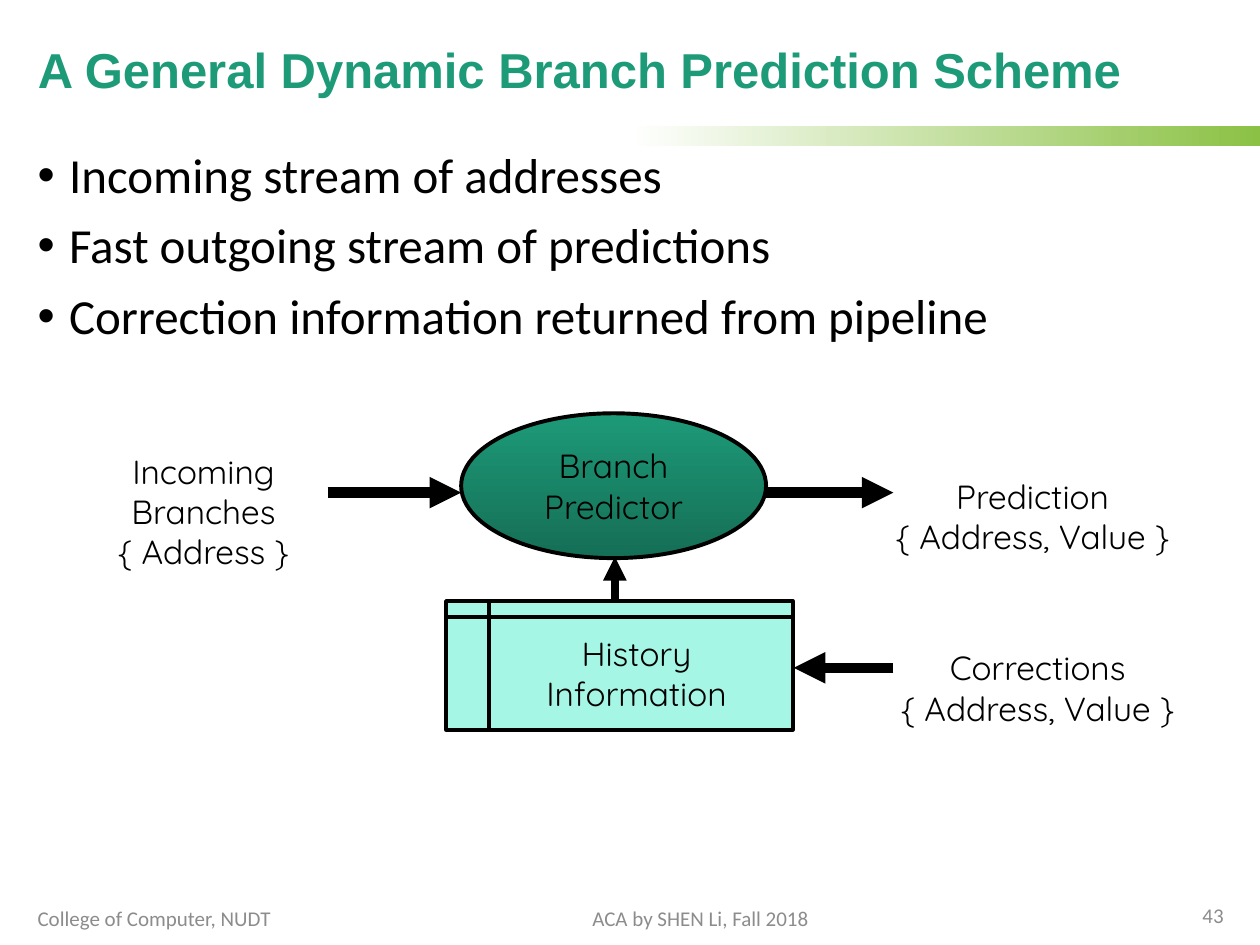
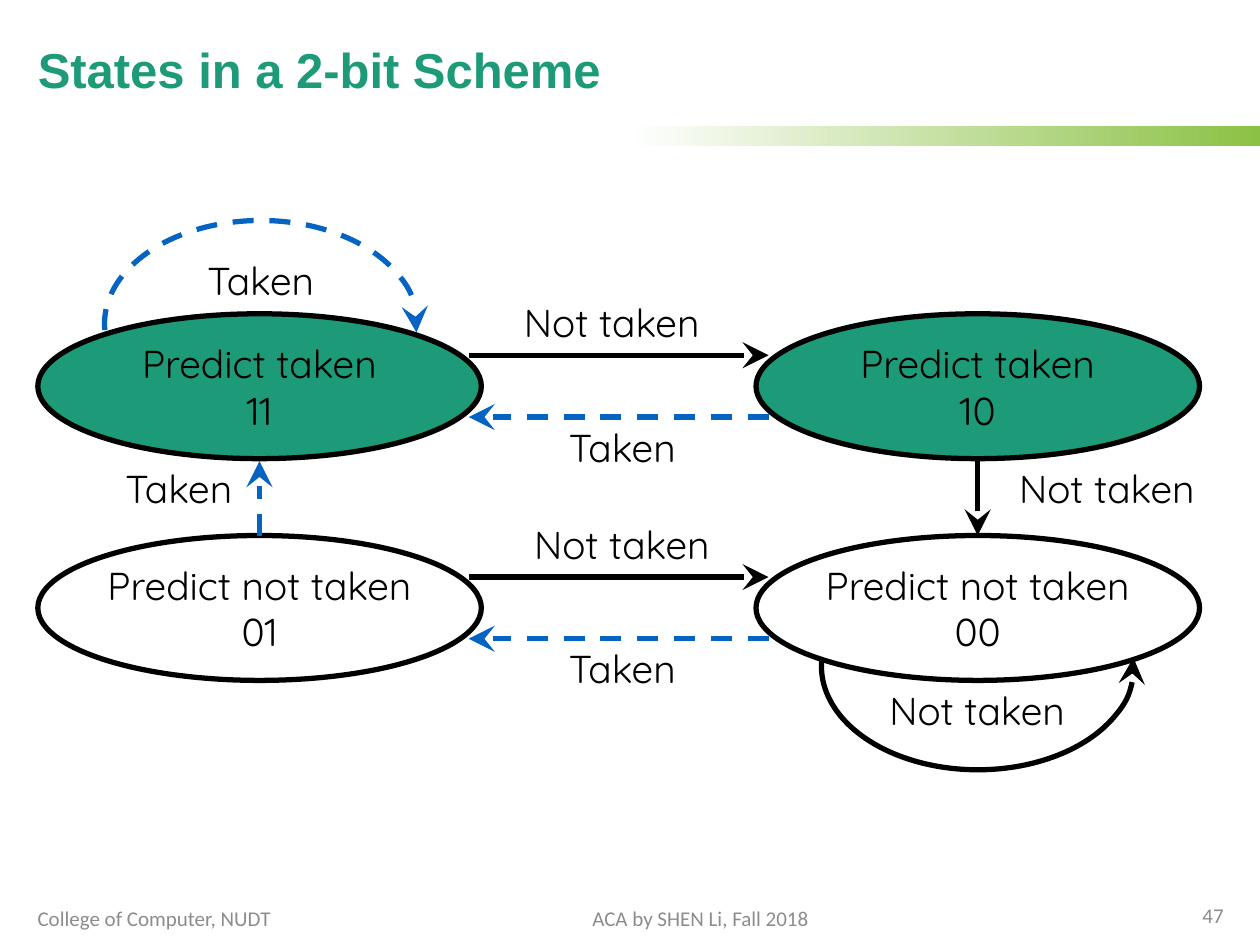
from lxml import etree
from pptx import Presentation, util as u
from pptx.dml.color import RGBColor
from pptx.enum import dml, shapes, text
from pptx.oxml.ns import qn

PX = 9144
BLACK = RGBColor(0x00, 0x00, 0x00)
WHITE = RGBColor(0xFF, 0xFF, 0xFF)
GREEN = RGBColor(0x1D, 0x9A, 0x78)
DARK_GREEN = RGBColor(0x15, 0x6E, 0x56)
LIME = RGBColor(0x8B, 0xC1, 0x45)
MINT = RGBColor(0xA6, 0xF6, 0xE5)
BLUE = RGBColor(0x05, 0x63, 0xC1)
GRAY = RGBColor(0x8C, 0x8C, 0x8C)
LEFT, CENTER, RIGHT = text.PP_ALIGN.LEFT, text.PP_ALIGN.CENTER, text.PP_ALIGN.RIGHT
MIDDLE = text.MSO_ANCHOR.MIDDLE
SHAPE = shapes.MSO_SHAPE


class Deck:
    """Hold the lecture style and the current slide, and draw elements on it."""

    def __init__(self):
        self.presentation = Presentation()
        self.presentation.slide_width = 1000 * PX
        self.presentation.slide_height = 750 * PX
        self.slide = None
        self.label_size = 20

    def scale(self, *lengths):
        return [length * PX for length in lengths]

    def new_slide(self, title, number, label_size):
        self.label_size = label_size
        layout = self.presentation.slide_layouts[5]
        self.slide = self.presentation.slides.add_slide(layout)
        self.shape(SHAPE.RECTANGLE, (500, 100, 500, 16), (WHITE, LIME), angle=0)
        heading = self.slide.shapes.title
        heading.left, heading.top, heading.width, heading.height = self.scale(20, 15, 961, 85)
        self.set_text(heading, title, 28, "Arial", GREEN, LEFT, bold=True)
        heading.text_frame.paragraphs[0].line_spacing = 0.9
        for words, box, align in (
            ("College of Computer, NUDT", (20, 709, 225, 40), LEFT),
            ("ACA by SHEN Li, Fall 2018", (328, 709, 456, 40), CENTER),
            (number, (879, 706, 102, 40), RIGHT),
        ):
            footer = self.slide.shapes.add_textbox(*self.scale(*box))
            self.set_text(footer, words, 12, "Calibri", GRAY, align)

    def set_text(self, shape, words, size, font, color, align, anchor=MIDDLE, wrap=True,
                 bold=False):
        frame = shape.text_frame
        frame.text = words
        frame.word_wrap = wrap
        frame.vertical_anchor = anchor
        for paragraph in frame.paragraphs:
            paragraph.alignment = align
            for run in paragraph.runs:
                run.font.size = u.Pt(size)
                run.font.name = font
                run.font.bold = bold
                run.font.color.rgb = color

    def bullets(self, box, lines):
        body = self.slide.shapes.add_textbox(*self.scale(*box))
        self.set_text(body, "\n".join(lines), 28, "Calibri", BLACK, LEFT, text.MSO_ANCHOR.TOP)
        for index, paragraph in enumerate(body.text_frame.paragraphs):
            paragraph.line_spacing = 0.9
            paragraph.space_before = u.Pt(10 if index else 0)
            properties = paragraph._p.get_or_add_pPr()
            properties.set("marL", str(25 * PX))
            properties.set("indent", str(-25 * PX))
            etree.SubElement(properties, qn("a:buFont"), typeface="Arial")
            etree.SubElement(properties, qn("a:buChar"), char="•")

    def label(self, words, box, wrap=False):
        caption = self.slide.shapes.add_textbox(*self.scale(*box))
        self.set_text(caption, words, self.label_size, "Quicksand", BLACK, CENTER,
                      text.MSO_ANCHOR.TOP, wrap)
        caption.text_frame.auto_size = text.MSO_AUTO_SIZE.SHAPE_TO_FIT_TEXT

    def shape(self, kind, box, fill=None, line=0, words="", angle=270, wrap=False):
        shape = self.slide.shapes.add_shape(kind, *self.scale(*box))
        shape.shadow.inherit = False
        if fill is None:
            shape.fill.background()
        elif isinstance(fill, RGBColor):
            shape.fill.solid()
            shape.fill.fore_color.rgb = fill
        else:
            shape.fill.gradient()
            shape.fill.gradient_angle = angle
            for stop, color in zip(shape.fill.gradient_stops, fill):
                stop.color.rgb = color
        if line:
            self.stroke(shape, BLACK, line)
        else:
            shape.line.fill.background()
        if words:
            self.set_text(shape, words, self.label_size, "Quicksand", BLACK, CENTER, wrap=wrap)
        return shape

    def stroke(self, shape, color, width, dashed=False):
        shape.line.color.rgb = color
        shape.line.width = u.Pt(width)
        if dashed:
            shape.line.dash_style = dml.MSO_LINE.DASH

    def arrowhead(self, shape, end, head, size):
        outline = shape.element.spPr.find(qn("a:ln"))
        etree.SubElement(outline, qn(f"a:{end}"), type=head, w=size, len=size)

    def arrow(self, points, width, color=BLACK, head="triangle", size="med"):
        connector = self.slide.shapes.add_connector(
            shapes.MSO_CONNECTOR.STRAIGHT, *self.scale(*points))
        self.stroke(connector, color, width, color == BLUE)
        self.arrowhead(connector, "tailEnd", head, size)
        etree.SubElement(connector.element.spPr, qn("a:effectLst"))

    def transition(self, points, color=BLACK):
        self.arrow(points, 3, color, "stealth", "lg")

    def self_loop(self, box, start, stop, end, color=BLACK):
        arc = self.shape(SHAPE.ARC, box)
        arc.adjustments[0] = start * 0.6
        arc.adjustments[1] = stop * 0.6
        self.stroke(arc, color, 3, color == BLUE)
        self.arrowhead(arc, end, "stealth", "lg")


def draw_prediction_scheme(deck):
    deck.new_slide("A General Dynamic Branch Prediction Scheme", "43", 19.1)
    deck.bullets((20, 115, 961, 595), (
        "Incoming stream of addresses",
        "Fast outgoing stream of predictions",
        "Correction information returned from pipeline",
    ))
    deck.shape(SHAPE.OVAL, (366, 328, 242, 115), (GREEN, DARK_GREEN), 2.25, "Branch\nPredictor")
    deck.label("Incoming Branches\n{ Address }", (53, 353, 217, 106), wrap=True)
    deck.label("Prediction\n{ Address, Value }", (696, 373, 247, 74))
    deck.label("Corrections\n{ Address, Value }", (700, 509, 247, 74))
    deck.shape(SHAPE.FLOWCHART_INTERNAL_STORAGE, (354, 477, 275, 102), MINT, 2.25,
               "History \nInformation ", wrap=True)
    for points in ((260, 391, 366, 391), (608, 391, 709, 391), (709, 530, 630, 530)):
        deck.arrow(points, 6)
    deck.arrow((488, 477, 488, 442), 4.5)


def draw_two_bit_states(deck):
    deck.new_slide("States in a 2-bit Scheme", "47", 22.2)
    columns, (taken_top, not_taken_top) = (30, 600), (249, 425)
    width, height = 352, 115
    left_middle, right_middle = (column + width // 2 for column in columns)
    taken_bottom = taken_top + height + 2

    deck.self_loop((83, 175, 248, 164), 177.7, 3.2, "tailEnd", BLUE)
    for top, fill, state, codes, label_left in (
        (taken_top, GREEN, "Predict taken", ("11", "10"), 401),
        (not_taken_top, None, "Predict not taken", ("01", "00"), 409),
    ):
        for column, code in zip(columns, codes):
            deck.shape(SHAPE.OVAL, (column, top, width, height), fill, 3, f"{state}\n{code}")
        deck.transition((372, top + 33, 610, top + 33))
        deck.transition((610, top + 82, 372, top + 82), BLUE)
        deck.label("Not taken", (label_left, top - 17, 169, 48))
        deck.label("Taken", (439, top + 82, 110, 48))

    deck.transition((right_middle, taken_bottom, right_middle, not_taken_top))
    deck.transition((left_middle, not_taken_top, left_middle, taken_bottom), BLUE)
    deck.label("Taken", (87, 364, 110, 48))
    deck.label("Not taken", (794, 364, 169, 48))
    deck.self_loop((652, 447, 248, 164), 356.8, 182.8, "headEnd")
    deck.label("Not taken", (691, 540, 169, 48))
    deck.label("Taken", (152, 199, 110, 48))


def main():
    deck = Deck()
    draw_prediction_scheme(deck)
    draw_two_bit_states(deck)
    deck.presentation.save("out.pptx")


if __name__ == "__main__":
    main()
